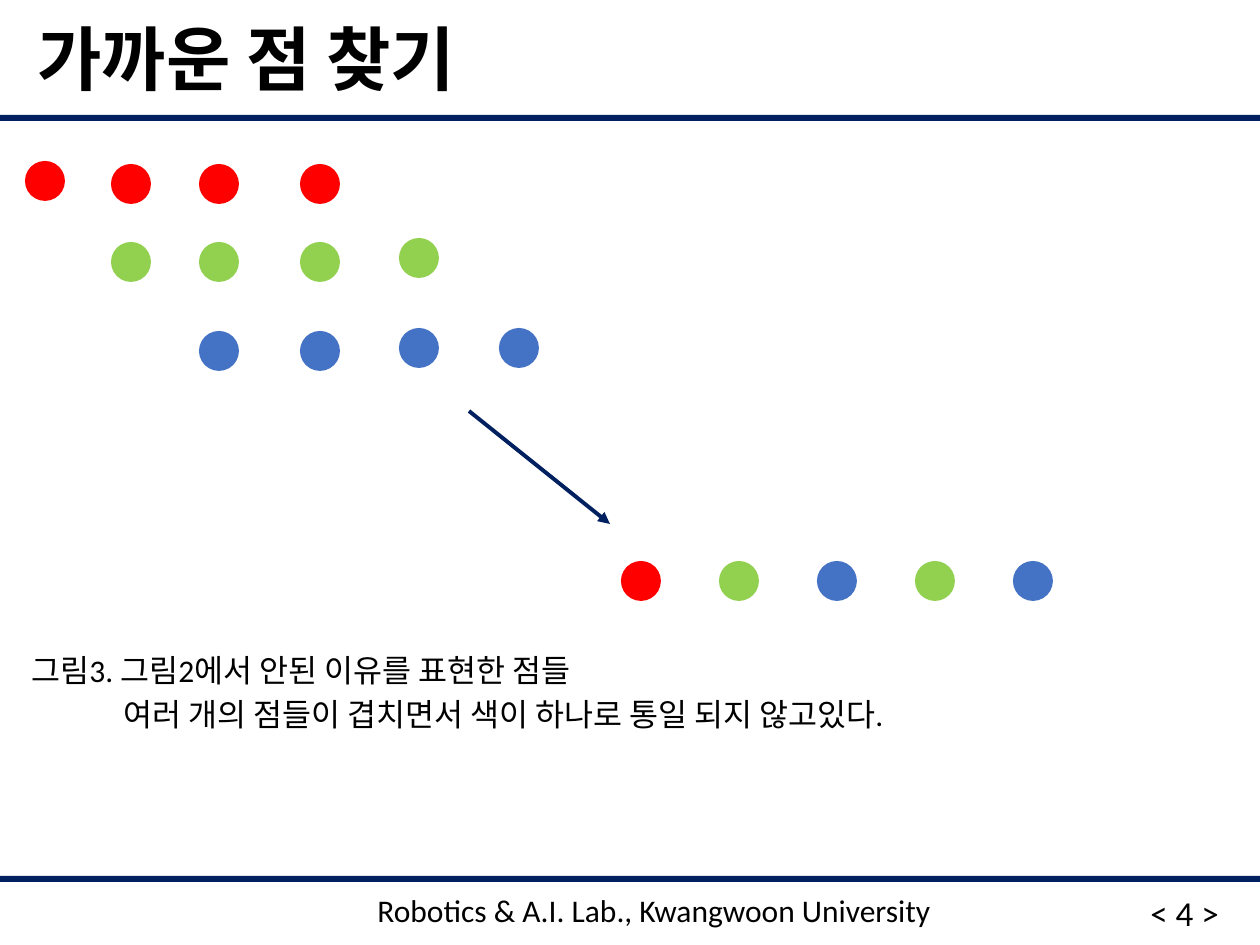
import pptx
import pptx.util
import pptx.dml.color
import pptx.enum.shapes
import pptx.enum.text
import pptx.oxml.ns
import lxml.etree

# Content
TITLE = "가까운 점 찾기"
# Text, (left, top, width, height) in px, type size name
LABELS = [
    ("< 4 >", (1138, 885, 123, 62), "number"),
    ("Robotics & A.I. Lab., Kwangwoon University", (365, 885, 591, 58), "body"),
    ("그림3. 그림2에서 안된 이유를 표현한 점들", (19, 645, 636, 50), "body"),
    ("여러 개의 점들이 겹치면서 색이 하나로 통일 되지 않고있다.", (111, 689, 1106, 50), "body"),
]
# Colour, first column, top of each dot
SCAN_ROWS = [
    ("red", 0, (161, 164, 164, 164)),
    ("green", 1, (242, 242, 242, 238)),
    ("blue", 2, (331, 331, 328, 328)),
]
MERGED_DOTS = ["red", "green", "blue", "green", "blue"]

# Geometry in px
SCALE = 914400 // 126
PAGE_SIZE = (1260, 945)
TITLE_AREA = (25, 16, 1211, 93)
RULE_TOPS = (115, 876)
RULE_HEIGHT = 6
DOT = 40
COLUMNS = (25, 111, 199, 300, 399, 499)
MERGED_LEFT, MERGED_TOP, MERGED_STEP = 621, 561, 98
ARROW = (469, 411, 610, 524)

THEME = {
    "font": "Calibri",
    "sizes": {"title": 40, "body": 18, "number": 20},
    "colors": {"text": "000000", "navy": "002060", "red": "FF0000",
               "green": "92D050", "blue": "4472C4"},
}


def emu(lengths):
    return [pptx.util.Emu(length * SCALE) for length in lengths]


def color(name):
    return pptx.dml.color.RGBColor.from_string(THEME["colors"][name])


def add_filled(page, kind, area, fill):
    shape = page.shapes.add_shape(kind, *emu(area))
    shape.shadow.inherit = False
    shape.fill.solid()
    shape.fill.fore_color.rgb = color(fill)
    shape.line.fill.background()


def add_dot(page, left, top, fill):
    add_filled(page, pptx.enum.shapes.MSO_SHAPE.OVAL, (left, top, DOT, DOT), fill)


def write(box, text, size, bold=False):
    box.text_frame.text = text
    box.text_frame.word_wrap = True
    paragraph = box.text_frame.paragraphs[0]
    paragraph.alignment = pptx.enum.text.PP_ALIGN.LEFT
    font = paragraph.runs[0].font
    font.name = THEME["font"]
    font.size = pptx.util.Pt(THEME["sizes"][size])
    font.bold = bold
    font.color.rgb = color("text")


def add_arrow(page):
    arrow = page.shapes.add_connector(
        pptx.enum.shapes.MSO_CONNECTOR.STRAIGHT, *emu(ARROW))
    arrow.line.color.rgb = color("navy")
    arrow.line.width = pptx.util.Pt(2.25)
    qn = pptx.oxml.ns.qn
    lxml.etree.SubElement(arrow.line._get_or_add_ln(), qn("a:tailEnd"), type="triangle")
    lxml.etree.SubElement(arrow._element.spPr, qn("a:effectLst"))


def main():
    deck = pptx.Presentation()
    deck.slide_width, deck.slide_height = emu(PAGE_SIZE)
    page = deck.slides.add_slide(deck.slide_layouts[5])

    # Title and the rules across the page
    title = page.shapes.title
    title.left, title.top, title.width, title.height = emu(TITLE_AREA)
    write(title, TITLE, "title", bold=True)
    title.text_frame.auto_size = pptx.enum.text.MSO_AUTO_SIZE.NONE
    title.text_frame.vertical_anchor = pptx.enum.text.MSO_ANCHOR.MIDDLE
    title.text_frame.paragraphs[0].line_spacing = 0.9
    for top in RULE_TOPS:
        add_filled(page, pptx.enum.shapes.MSO_SHAPE.RECTANGLE,
                   (0, top, PAGE_SIZE[0], RULE_HEIGHT), "navy")

    # Overlapping scans, then the merged row they lead to
    for fill, first, tops in SCAN_ROWS:
        for left, top in zip(COLUMNS[first:], tops):
            add_dot(page, left, top, fill)
    add_arrow(page)
    for index, fill in enumerate(MERGED_DOTS):
        add_dot(page, MERGED_LEFT + index * MERGED_STEP, MERGED_TOP, fill)

    # Caption and footer
    for text, area, size in LABELS:
        write(page.shapes.add_textbox(*emu(area)), text, size)

    deck.save("out.pptx")


if __name__ == "__main__":
    main()
